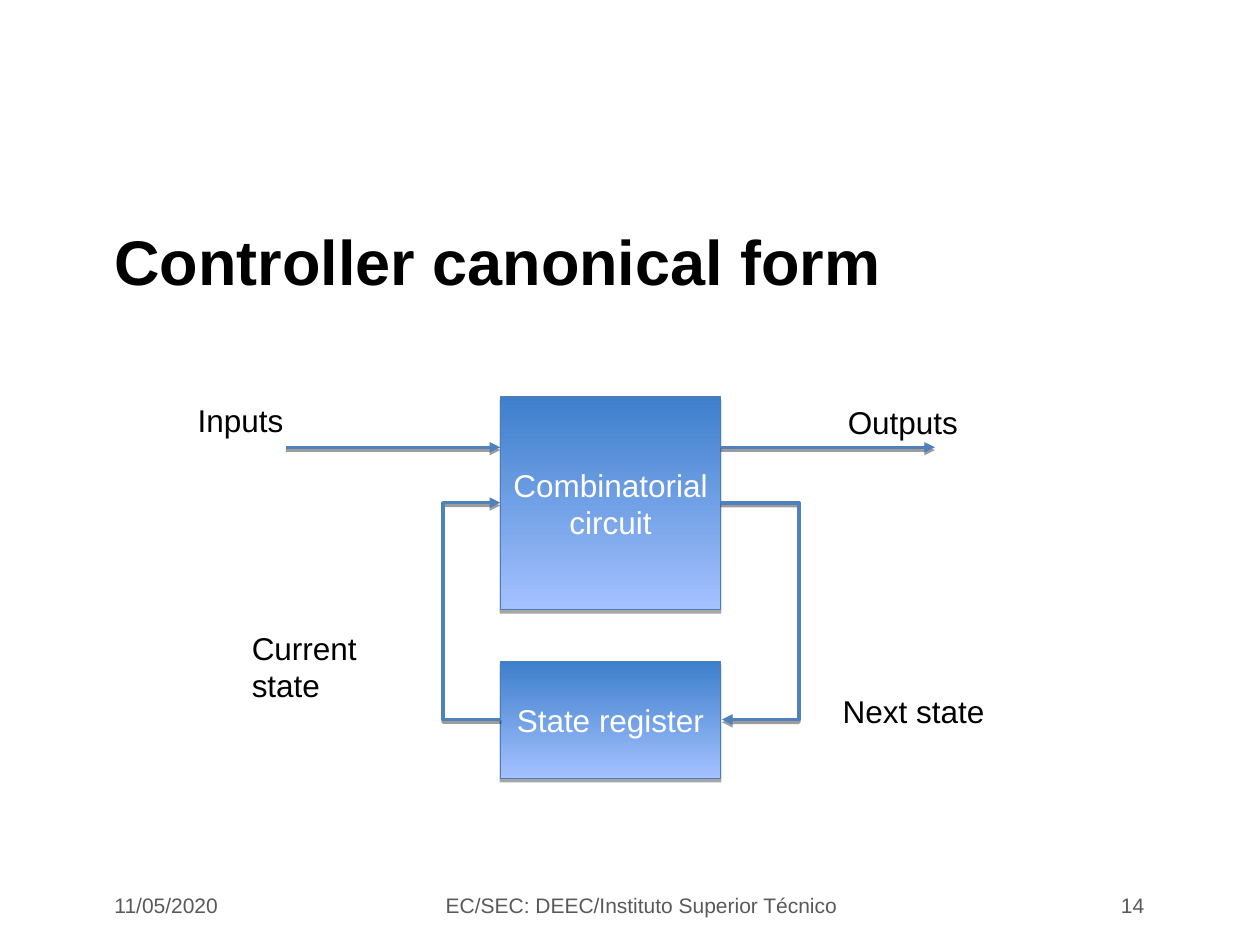
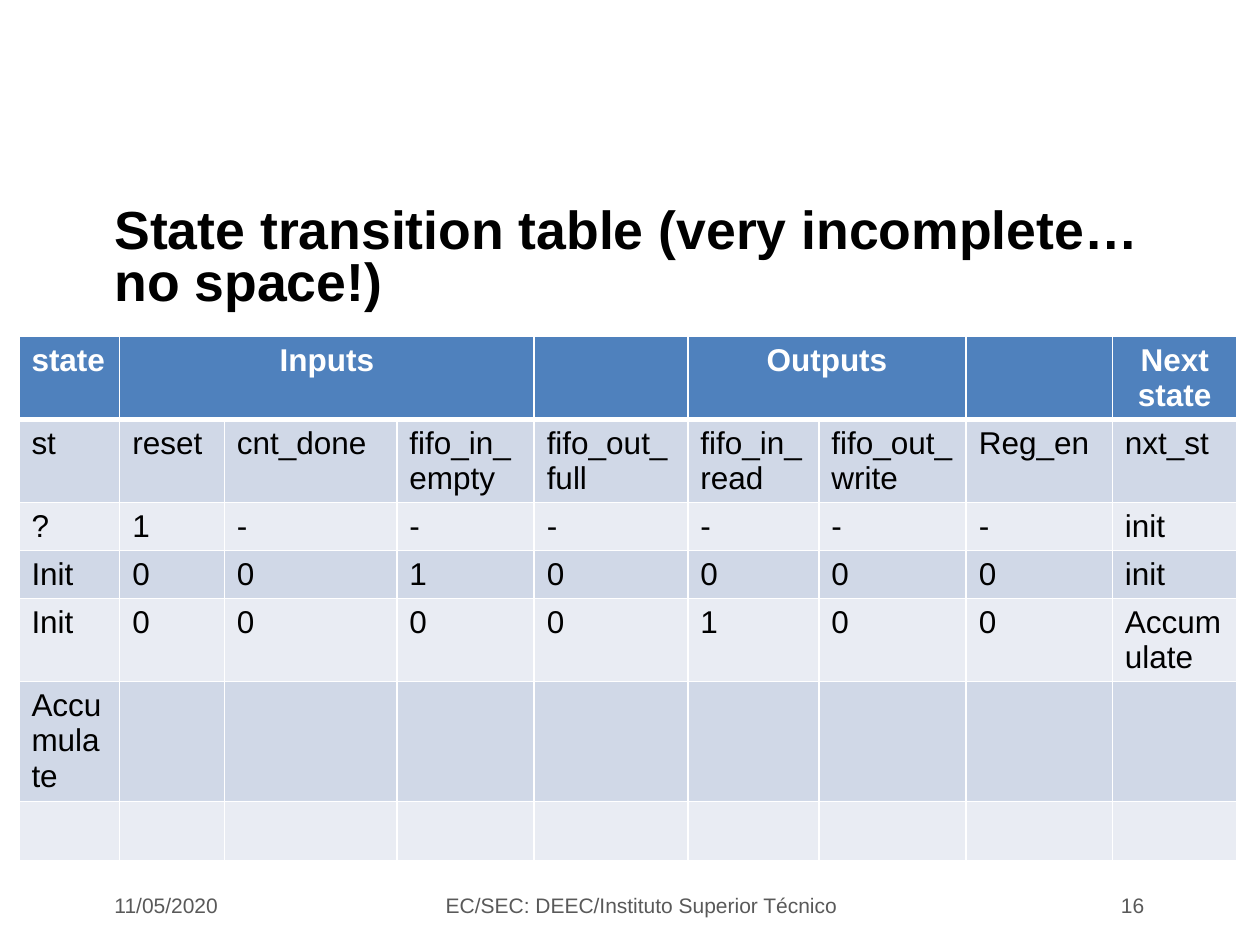
from lxml.etree import SubElement
from pptx import Presentation
from pptx.dml.color import RGBColor
from pptx.enum.shapes import MSO_CONNECTOR, MSO_SHAPE
from pptx.enum.text import MSO_ANCHOR, PP_ALIGN
from pptx.oxml import parse_xml
from pptx.oxml.ns import nsdecls, qn
from pptx.util import Inches, Pt

COLORS = {
    "black": "000000", "white": "FFFFFF", "footer": "595959",
    "accent": "4F81BD", "outline": "4A7EBB",
    "gradient_top": "3E7FCC", "gradient_bottom": "A4C1FF",
    "band_dark": "D0D8E7", "band_light": "E9ECF3",
}
FONT = "Arial"
SLIDE_SIZE = (10, 7.5)
LEFT, CENTER, RIGHT = PP_ALIGN.LEFT, PP_ALIGN.CENTER, PP_ALIGN.RIGHT

TITLE_AREA = (0.81, 1.59, 8.37, 0.95)
FOOTER_TOP, FOOTER_HEIGHT = 7.01, 0.34
DATE = "11/05/2020"
COURSE = "EC/SEC: DEEC/Instituto Superior Técnico "
FOOTER_COLUMNS = [(0.81, 2.02, LEFT), (3.42, 3.39, CENTER), (7.18, 2, RIGHT)]

DIAGRAM_TITLE = {"text": "Controller canonical form", "size": 36, "spacing": 1.0, "page": "14"}
BLOCK_LEFT, BLOCK_WIDTH = 3.97, 1.75
BLOCK_RIGHT = BLOCK_LEFT + BLOCK_WIDTH
BLOCKS = [("Combinatorial circuit", 3.15, 1.69), ("State register", 5.25, 0.93)]
SIGNAL_ROW, FEEDBACK_ROW, REGISTER_ROW = 3.55, 3.99, 5.71
SIGNAL_LENGTH, STEP = 1.7, 0.01
ARROWS = [
    ((BLOCK_RIGHT, SIGNAL_ROW), (BLOCK_RIGHT + SIGNAL_LENGTH, SIGNAL_ROW), None),
    ((BLOCK_LEFT - SIGNAL_LENGTH, SIGNAL_ROW), (BLOCK_LEFT, SIGNAL_ROW), None),
    ((BLOCK_RIGHT, FEEDBACK_ROW), (BLOCK_RIGHT + STEP, REGISTER_ROW), 6.35),
    ((BLOCK_LEFT + STEP, REGISTER_ROW), (BLOCK_LEFT, FEEDBACK_ROW), 3.51),
]
LABEL_HEIGHT = 0.4
LABELS = [
    ("Outputs", 6.63, 3.15, 1.15),
    ("Next state", 6.59, 5.44, 1.4),
    ("Inputs", 1.47, 3.13, 0.95),
    ("Current state", 1.9, 4.94, 1.6),
]

TABLE_TITLE = {
    "text": "State transition table (very incomplete… no space!)",
    "size": 30.6, "spacing": 0.8, "page": "16",
}
TABLE_ORIGIN = (0.15, 2.67)
COLUMN_WIDTHS = [0.8, 0.83, 1.37, 1.09, 1.22, 1.04, 1.17, 1.16, 0.99]
ROW_HEIGHTS = [0.66, 0.66, 0.38, 0.38, 0.66, 0.94, 0.47]
CELL_BOTTOM_MARGIN = 0
HEADER_SPANS = [(1, 3), (5, 6)]
TRANSITIONS = [
    ["state", "Inputs", "", "", "", "Outputs", "", "", "Next state"],
    ["st", "reset", "cnt_done", "fifo_in_empty", "fifo_out_full",
     "fifo_in_read", "fifo_out_write", "Reg_en", "nxt_st"],
    ["?", "1", "-", "-", "-", "-", "-", "-", "init"],
    ["Init", "0", "0", "1", "0", "0", "0", "0", "init"],
    ["Init", "0", "0", "0", "0", "1", "0", "0", "Accumulate"],
    ["Accumulate"] + [""] * 8,
    [""] * 9,
]
THIN, THICK = 0.96, 3


def color(name):
    return RGBColor.from_string(COLORS[name])


def inches(*lengths):
    return [Inches(length) for length in lengths]


def write(frame, text, size=18, tone="black", bold=False, align=LEFT, spacing=1.0):
    paragraph = frame.paragraphs[0]
    for name, value in {"alignment": align, "line_spacing": spacing}.items():
        setattr(paragraph, name, value)
    font = paragraph.font
    if text:
        run = paragraph.add_run()
        run.text = text
        font = run.font
    for name, value in {"name": FONT, "size": Pt(size), "bold": bold}.items():
        setattr(font, name, value)
    font.color.rgb = color(tone)


def add_text(slide, area, text, anchor=MSO_ANCHOR.MIDDLE, **style):
    frame = slide.shapes.add_textbox(*inches(*area)).text_frame
    for name, value in {"word_wrap": True, "vertical_anchor": anchor}.items():
        setattr(frame, name, value)
    write(frame, text, **style)


def add_shadow(properties, distance, opacity):
    for effects in properties.findall(qn("a:effectLst")):
        properties.remove(effects)
    properties.append(parse_xml(
        f'<a:effectLst {nsdecls("a")}><a:outerShdw blurRad="0" dist="{Pt(distance)}" '
        f'dir="5400000" rotWithShape="0"><a:srgbClr val="{COLORS["black"]}">'
        f'<a:alpha val="{opacity * 1000}"/></a:srgbClr></a:outerShdw></a:effectLst>'))


def add_block(slide, text, top, height):
    block = slide.shapes.add_shape(
        MSO_SHAPE.RECTANGLE, *inches(BLOCK_LEFT, top, BLOCK_WIDTH, height))
    block.fill.gradient()
    block.fill.gradient_angle = 270
    for stop, position, tone in zip(
            block.fill.gradient_stops, (0, 1), ("gradient_top", "gradient_bottom")):
        stop.position = position
        stop.color.rgb = color(tone)
    block.line.color.rgb = color("outline")
    block.line.width = Pt(0.75)
    block.shadow.inherit = False
    add_shadow(block.element.spPr, 1.8, 35)
    block.text_frame.word_wrap = True
    block.text_frame.vertical_anchor = MSO_ANCHOR.MIDDLE
    write(block.text_frame, text, tone="white", align=CENTER)


def add_arrow(slide, start, end, bend):
    first, last = sorted((start, end))
    kind = MSO_CONNECTOR.STRAIGHT if bend is None else MSO_CONNECTOR.ELBOW
    arrow = slide.shapes.add_connector(kind, *inches(*first, *last))
    arrow.line.color.rgb = color("accent")
    arrow.line.width = Pt(2)
    properties = arrow.element.spPr
    SubElement(properties.find(qn("a:ln")), qn("a:tailEnd"), type="triangle")
    add_shadow(properties, 1.6, 38)
    if bend is not None:
        share = (bend - start[0]) / (end[0] - start[0])
        adjustments = properties.find(qn("a:prstGeom")).get_or_add_avLst()
        SubElement(adjustments, qn("a:gd"), name="adj1", fmla=f"val {round(share * 100000)}")
    if start != first:
        properties.find(qn("a:xfrm")).set("rot", "10800000")


def set_borders(cell, top, bottom):
    properties = cell._tc.get_or_add_tcPr()
    widths = {"lnL": THIN, "lnR": THIN, "lnT": top, "lnB": bottom}
    for index, (side, width) in enumerate(widths.items()):
        properties.insert(index, parse_xml(
            f'<a:{side} {nsdecls("a")} w="{Pt(width)}"><a:solidFill>'
            f'<a:srgbClr val="{COLORS["white"]}"/></a:solidFill></a:{side}>'))


def add_transition_table(slide):
    area = inches(*TABLE_ORIGIN, sum(COLUMN_WIDTHS), sum(ROW_HEIGHTS))
    table = slide.shapes.add_table(len(ROW_HEIGHTS), len(COLUMN_WIDTHS), *area).table
    for column, width in zip(table.columns, COLUMN_WIDTHS):
        column.width = Inches(width)
    for row, height in zip(table.rows, ROW_HEIGHTS):
        row.height = Inches(height)
    for first, last in HEADER_SPANS:
        table.cell(0, first).merge(table.cell(0, last))
    for row, texts in enumerate(TRANSITIONS):
        header = row == 0
        band = "accent" if header else ("band_light", "band_dark")[row % 2]
        for column, text in enumerate(texts):
            cell = table.cell(row, column)
            cell.margin_bottom = Inches(CELL_BOTTOM_MARGIN)
            cell.fill.solid()
            cell.fill.fore_color.rgb = color(band)
            set_borders(cell, THICK if row == 1 else THIN, THICK if header else THIN)
            write(cell.text_frame, text, tone="white" if header else "black", bold=header,
                  align=CENTER if header and column else LEFT)


def add_slide(presentation, title):
    slide = presentation.slides.add_slide(presentation.slide_layouts[6])
    add_text(slide, TITLE_AREA, title["text"], size=title["size"],
             spacing=title["spacing"], bold=True)
    for text, (left, width, align) in zip((DATE, COURSE, title["page"]), FOOTER_COLUMNS):
        add_text(slide, (left, FOOTER_TOP, width, FOOTER_HEIGHT), text,
                 size=12, tone="footer", align=align)
    return slide


def main():
    """Build the controller diagram and the state transition table."""
    presentation = Presentation()
    presentation.slide_width, presentation.slide_height = inches(*SLIDE_SIZE)
    diagram = add_slide(presentation, DIAGRAM_TITLE)
    for block in BLOCKS:
        add_block(diagram, *block)
    for arrow in ARROWS:
        add_arrow(diagram, *arrow)
    for text, left, top, width in LABELS:
        add_text(diagram, (left, top, width, LABEL_HEIGHT), text, anchor=MSO_ANCHOR.TOP)
    add_transition_table(add_slide(presentation, TABLE_TITLE))
    presentation.save("out.pptx")


if __name__ == "__main__":
    main()
